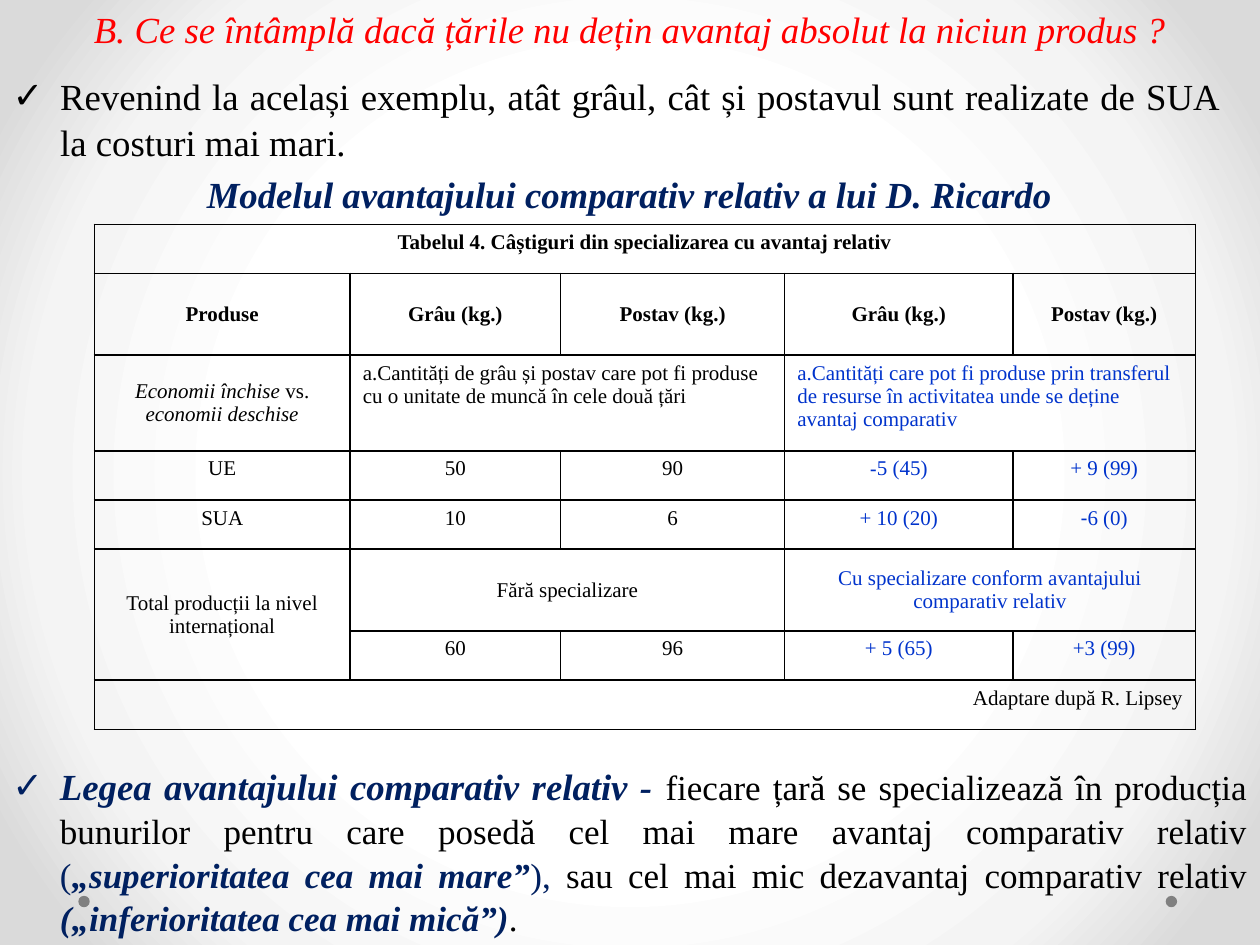
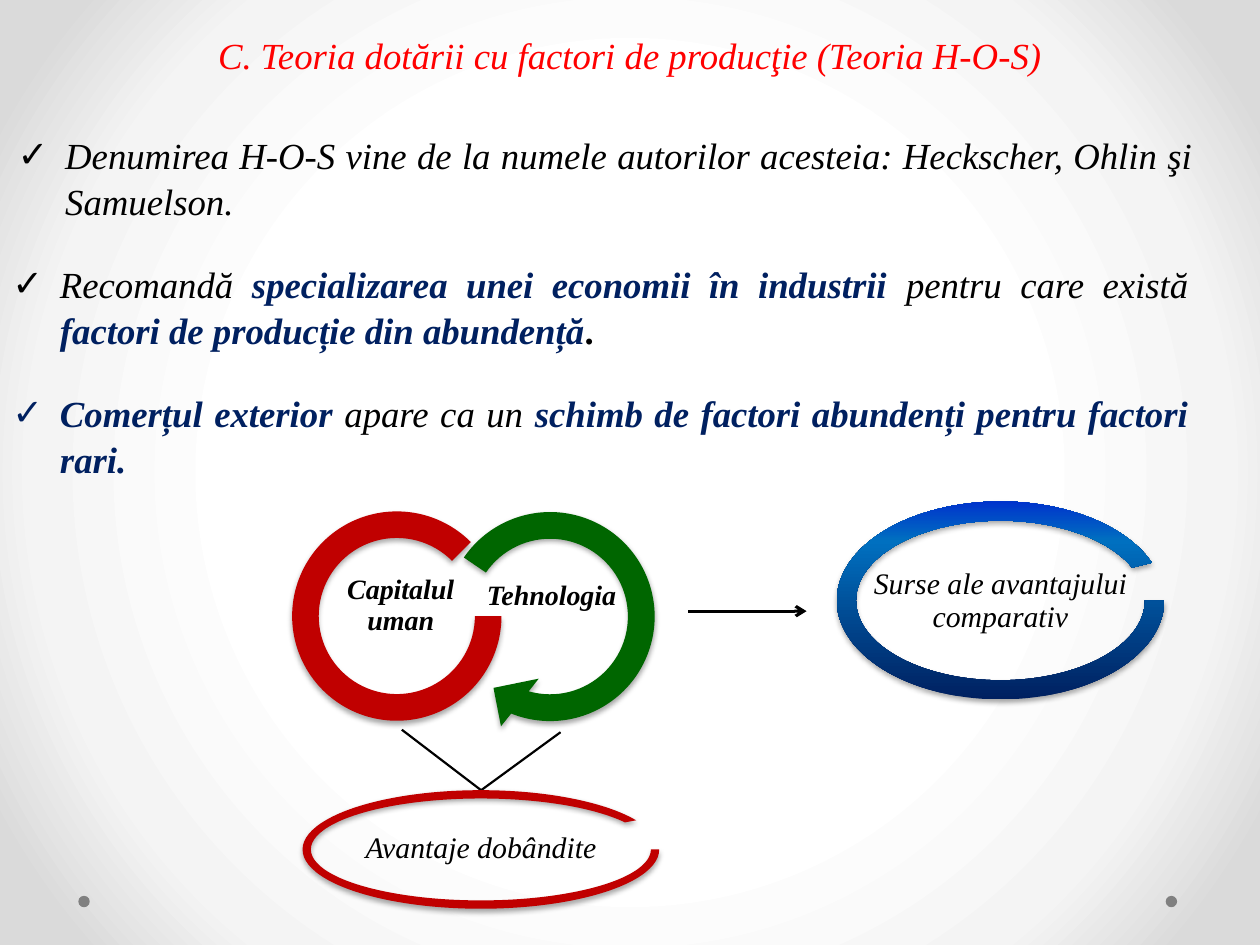
from dataclasses import dataclass, replace

from pptx import Presentation
from pptx.dml.color import RGBColor
from pptx.enum import shapes, text
from pptx.oxml import parse_xml
from pptx.oxml.ns import nsdecls, qn
from pptx.util import Cm, Pt


@dataclass(frozen=True)
class Ink:
    color: str = "000000"
    size: float = 21
    bold: bool = False
    italic: bool = False


@dataclass(frozen=True)
class Box:
    left: float
    top: float
    width: float
    height: float

    def inner(self, left, top, width, height):
        return Box(self.left + left, self.top + top, width, height)

    def lengths(self):
        return [Cm(n) for n in (self.left, self.top, self.width, self.height)]


class Theme:
    font = "Times New Roman"
    bullet_font = "Arial"
    black, navy, blue = "000000", "002060", "0033CC"
    red, green, grey = "C00000", "006600", "808080"
    backdrop = [(50, "FFFFFF"), (76, "F4F4F4"), (92, "DADADA")]
    blues = [(0, navy), (80, "0070C0"), (100, blue)]
    title = Ink("FF0000", italic=True)
    body = Ink()
    slanted = Ink(italic=True)
    key = Ink(navy, bold=True, italic=True)
    law = Ink(size=20)
    cell = Ink(size=12)
    loop_label = Ink(size=16, bold=True, italic=True)
    result_label = Ink(size=17, italic=True)


LEFT, CENTER, RIGHT, JUSTIFY = (text.PP_ALIGN.LEFT, text.PP_ALIGN.CENTER,
                                text.PP_ALIGN.RIGHT, text.PP_ALIGN.JUSTIFY)
TOP, MIDDLE = text.MSO_ANCHOR.TOP, text.MSO_ANCHOR.MIDDLE
PAGE = Box(0, 0, 25.4, 19.05)


# ---- Shared helpers -------------------------------------------------------
def write(para, spans, align):
    para.alignment = align
    for words, ink in spans:
        span = para.add_run()
        span.text = words
        font = span.font
        font.name, font.size = Theme.font, Pt(ink.size)
        font.bold, font.italic = ink.bold, ink.italic
        font.color.rgb = RGBColor.from_string(ink.color)


def add_bullet(para, kind, value, indent=0):
    """kind is buChar or buAutoNum, value its character or numbering type."""
    props = para._p.get_or_add_pPr()
    props.set("marL", str(Cm(indent)))
    props.set("indent", str(-Cm(indent)))
    name = "char" if kind == "buChar" else "type"
    props.append(parse_xml(f'<a:buFont {nsdecls("a")} typeface="{Theme.bullet_font}"/>'))
    props.append(parse_xml(f'<a:{kind} {nsdecls("a")} {name}="{value}"/>'))


def move(shape, box):
    shape.left, shape.top, shape.width, shape.height = box.lengths()


def prepare(shape, anchor=TOP, inset=None):
    frame = shape.text_frame
    frame.word_wrap = True
    frame.auto_size = text.MSO_AUTO_SIZE.NONE
    frame.vertical_anchor = anchor
    if inset is not None:
        frame.margin_left = frame.margin_right = Cm(inset)
        frame.margin_top = frame.margin_bottom = Cm(inset)
    return frame.paragraphs[0]


def paint_gradient(fill, holder, stops, direction):
    fill.gradient()
    marks = "".join(f'<a:gs pos="{pos * 1000}"><a:srgbClr val="{color}"/></a:gs>'
                    for pos, color in stops)
    old = next(holder.iter(qn("a:gradFill")))
    old.getparent().replace(old, parse_xml(
        f'<a:gradFill {nsdecls("a")} rotWithShape="1"><a:gsLst>{marks}</a:gsLst>'
        f'{direction}</a:gradFill>'))


def paint_solid(shape, color):
    shape.fill.solid()
    shape.fill.fore_color.rgb = RGBColor.from_string(color)


def add_plain(page, kind, box):
    shape = page.shapes.add_shape(kind, *box.lengths())
    shape.shadow.inherit = False
    shape.line.fill.background()
    return shape


def add_label(page, box, words, ink):
    para = prepare(page.shapes.add_textbox(*box.lengths()), MIDDLE, 0.03)
    para.line_spacing = 0.9
    write(para, [(words, ink)], CENTER)


def add_line(page, start, end, width, arrow=False):
    points = [Cm(n) for n in (*start, *end)]
    line = page.shapes.add_connector(shapes.MSO_CONNECTOR.STRAIGHT, *points)
    line.line.width = Pt(width)
    line.line.color.rgb = RGBColor.from_string(Theme.black)
    props = line._element.spPr
    if arrow:
        props.find(qn("a:ln")).append(parse_xml(f'<a:tailEnd {nsdecls("a")} type="arrow"/>'))
    props.append(parse_xml(f'<a:effectLst {nsdecls("a")}/>'))


def add_ring(page, kind, box, adjustments):
    """A ring-like preset with a soft shadow below it."""
    ring = add_plain(page, kind, box)
    for index, value in enumerate(adjustments):
        ring.adjustments[index] = value
    ring._element.spPr.find(qn("a:effectLst")).append(parse_xml(
        f'<a:outerShdw {nsdecls("a")} blurRad="{Pt(3.1)}" dist="{Pt(1.8)}" dir="5400000" '
        f'rotWithShape="0"><a:srgbClr val="{Theme.black}"><a:alpha val="35000"/>'
        f'</a:srgbClr></a:outerShdw>'))
    return ring


def add_point(shape, box, spans):
    """One justified, check-marked statement."""
    move(shape, box)
    para = prepare(shape)
    add_bullet(para, "buChar", "✓", 0.96)
    para.line_spacing = 1.04
    write(para, spans, JUSTIFY)


def start_page(deck, heading, top):
    page = deck.slides.add_slide(deck.slide_layouts[1])
    for left in (23.5, 1.58):
        paint_solid(add_plain(page, shapes.MSO_SHAPE.OVAL, Box(left, 18.06, 0.23, 0.23)),
                    Theme.grey)
    move(page.shapes.title, Box(0, top, PAGE.width, 1.6))
    write(prepare(page.shapes.title), [(heading, Theme.title)], CENTER)
    return page


# ---- Table of gains -------------------------------------------------------
def add_borders(cell, first, last):
    props = cell._tc.get_or_add_tcPr()
    for side in "LRTB":
        thin = (first and side != "B") or (last and side != "T")
        props.append(parse_xml(
            f'<a:ln{side} {nsdecls("a")} w="{Pt(0.75 if thin else 1)}"><a:solidFill>'
            f'<a:srgbClr val="{Theme.black}"/></a:solidFill></a:ln{side}>'))


def add_gains_table(page, box):
    columns = [5.16, 4.24, 4.52, 4.6, 3.68]
    low, tall = 0.99, 1.65
    heights = [low, tall, 1.93, low, low, tall, low, low]
    rows = [
        ["Tabelul 4. Câștiguri din specializarea cu avantaj relativ"],
        ["Produse", "Grâu (kg.)", "Postav (kg.)", "Grâu (kg.)", "Postav (kg.)"],
        ["", "Cantități de grâu și postav care pot fi produse cu o unitate de muncă "
             "în cele două țări", "",
         "Cantități care pot fi produse prin transferul de resurse în activitatea "
         "unde se deține avantaj comparativ"],
        ["UE", "50", "90", "-5 (45)", "+ 9 (99)"],
        ["SUA", "10", "6", "+ 10 (20)", "-6 (0)"],
        ["Total producții la nivel internațional", "Fără specializare", "",
         "Cu specializare conform avantajului comparativ relativ"],
        ["", "60", "96", "+ 5 (65)", "+3 (99)"],
        ["Adaptare după R. Lipsey"],
    ]
    last = len(rows) - 1
    table = page.shapes.add_table(len(rows), len(columns), *box.lengths()).table
    table.first_row = table.horz_banding = False
    for column, width in zip(table.columns, columns):
        column.width = Cm(width)
    for row, height in zip(table.rows, heights):
        row.height = Cm(height)
    for r in range(len(rows)):
        for c in range(len(columns)):
            add_borders(table.cell(r, c), r == 0, r == last)
            table.cell(r, c).fill.background()
    for r1, c1, r2, c2 in [(0, 0, 0, 4), (2, 1, 2, 2), (2, 3, 2, 4), (5, 0, 6, 0),
                           (5, 1, 5, 2), (5, 3, 5, 4), (last, 0, last, 4)]:
        table.cell(r1, c1).merge(table.cell(r2, c2))

    for r, row in enumerate(rows):
        for c, words in enumerate(row):
            if not words:
                continue
            cell = table.cell(r, c)
            para = cell.text_frame.paragraphs[0]
            ink = replace(Theme.cell, bold=r < 2,
                          color=Theme.blue if r > 1 and c > 2 else Theme.black)
            align = RIGHT if r == last else LEFT if r == 2 else CENTER
            cell.vertical_anchor = MIDDLE if r in (1, 5) else TOP
            if r == 2:
                add_bullet(para, "buAutoNum", "alphaLcPeriod")
            elif words.startswith("-"):
                add_bullet(para, "buChar", "-")
                words = words[1:]
            write(para, [(words, ink)], align)

    # Mixed italics in the row that compares the economies
    economies = table.cell(2, 0)
    economies.vertical_anchor = MIDDLE
    slanted = replace(Theme.cell, italic=True)
    write(economies.text_frame.paragraphs[0],
          [("Economii închise", slanted), (" vs. ", Theme.cell),
           ("economii deschise", slanted)], CENTER)


# ---- Diagram of advantage sources -----------------------------------------
def add_acquired_advantages(page, box):
    arc = shapes.MSO_SHAPE.BLOCK_ARC
    technology = add_ring(page, shapes.MSO_SHAPE.CIRCULAR_ARROW,
                          box.inner(2.75, 0, 4.9, 4.9), [0.11, 11.42, 45, 108, 0.125])
    technology.rotation = 34.4
    paint_solid(technology, Theme.green)
    add_label(page, box.inner(3.86, 1.35, 2.74, 1.37), "Tehnologia", Theme.loop_label)
    capital = add_ring(page, arc, box.inner(0, 0.33, 4.22, 4.22), [0, 189, 0.127])
    paint_solid(capital, Theme.red)
    add_label(page, box.inner(0.82, 1.55, 2.74, 1.37), "Capitalul uman", Theme.loop_label)

    apex = (box.left + 3.81, box.top + 5.95)
    for left, top in [(2.21, 4.73), (5.41, 4.78)]:
        add_line(page, (box.left + left, box.top + top), apex, 1.25)
    acquired = add_ring(page, arc, box.inner(0.21, 5.95, 7.19, 2.39), [0, 209.62, 0.07])
    paint_solid(acquired, Theme.red)
    add_label(page, box.inner(1.32, 6.45, 4.98, 1.37), "Avantaje dobândite",
              Theme.result_label)


def add_sources(page, box):
    ring = add_ring(page, shapes.MSO_SHAPE.BLOCK_ARC, box, [0, 207.6, 0.097])
    paint_gradient(ring.fill, ring._element.spPr, Theme.blues,
                   '<a:lin ang="16200000" scaled="0"/>')
    add_label(page, box.inner(0, 0.81, box.width, 2.41),
              "Surse ale avantajului comparativ", Theme.result_label)


# ---- Slides ---------------------------------------------------------------
def build_ricardo(deck):
    page = start_page(
        deck, "B. Ce se întâmplă dacă țările nu dețin avantaj absolut la niciun produs ?", 0)
    add_point(page.placeholders[1], Box(0, 1.32, 24.84, 2.31), [
        ("Revenind la același exemplu, atât grâul, cât și postavul sunt realizate de SUA "
         "la costuri mai mari.", Theme.body)])
    model = page.shapes.add_textbox(*Box(2.29, 3.33, 20.8, 1.14).lengths())
    write(prepare(model),
          [("Modelul avantajului comparativ relativ a lui D. Ricardo", Theme.key)], CENTER)
    law, key = Theme.law, replace(Theme.key, size=Theme.law.size)
    navy = replace(law, color=Theme.navy)
    box = Box(0, 15.24, PAGE.width, 3.81)
    add_point(page.shapes.add_textbox(*box.lengths()), box, [
        ("Legea avantajului comparativ relativ - ", Theme.key),
        ("fiecare țară se specializează în producția bunurilor pentru care posedă cel mai "
         "mare avantaj comparativ relativ ", law),
        ("(", navy), ("„superioritatea cea mai mare”", key), ("), ", navy),
        ("sau cel mai mic dezavantaj comparativ relativ ", law),
        ("(„inferioritatea cea mai mică”)", key), (".", law)])
    add_gains_table(page, Box(1.9, 4.52, 22.2, 10.18))


def build_factor_theory(deck):
    page = start_page(deck, "C. Teoria dotării cu factori de producţie (Teoria H-O-S)", 0.53)
    plain, key = Theme.slanted, Theme.key
    points = [
        [("Denumirea H-O-S vine de la numele autorilor acesteia: Heckscher, Ohlin "
          "şi Samuelson.", plain)],
        [("Recomandă ", plain), ("specializarea unei economii în industrii", key),
         (" pentru care există ", plain), ("factori de producție din abundență", key),
         (".", Ink(bold=True))],
        [("Comerțul exterior ", key), ("apare ca un ", plain),
         ("schimb de factori abundenți pentru factori rari.", key)],
    ]
    for index, spans in enumerate(points):
        box = Box(0 if index else 0.1, 2.52 + 2.6 * index, 24.21, 2.03)
        shape = page.shapes.add_textbox(*box.lengths()) if index else page.placeholders[1]
        add_point(shape, box, spans)
    add_acquired_advantages(page, Box(5.89, 9.98, 7.65, 8.34))
    add_line(page, (13.87, 12.32), (16.26, 12.32), 1.75, arrow=True)
    add_sources(page, Box(16.87, 10.11, 6.6, 3.99))


def main():
    deck = Presentation()
    deck.slide_width, deck.slide_height = Cm(PAGE.width), Cm(PAGE.height)
    master = deck.slide_master
    paint_gradient(master.background.fill, master.element, Theme.backdrop,
                   '<a:path path="circle"><a:fillToRect l="50000" t="50000" r="50000" '
                   'b="50000"/></a:path>')
    build_ricardo(deck)
    build_factor_theory(deck)
    deck.save("out.pptx")


if __name__ == "__main__":
    main()
